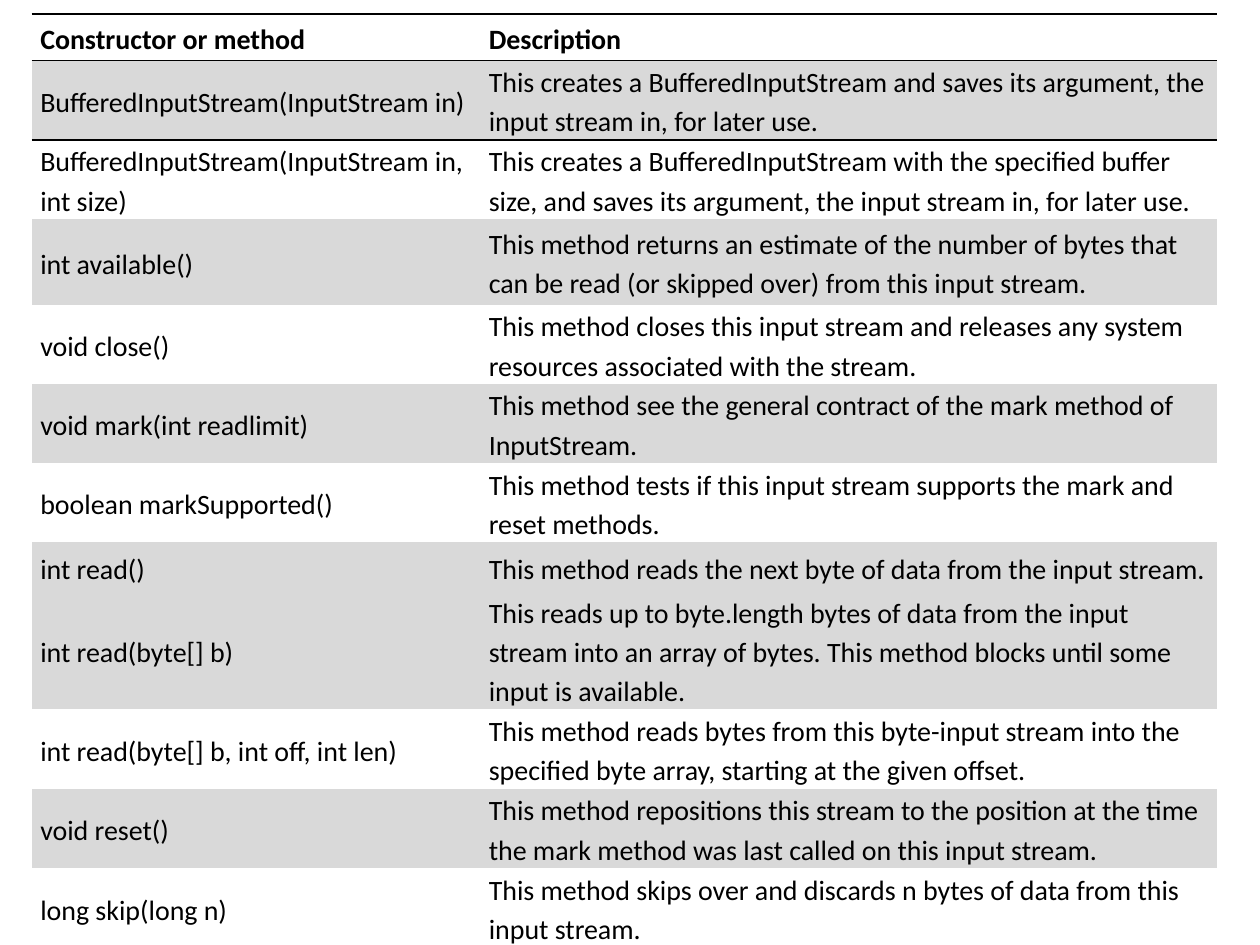
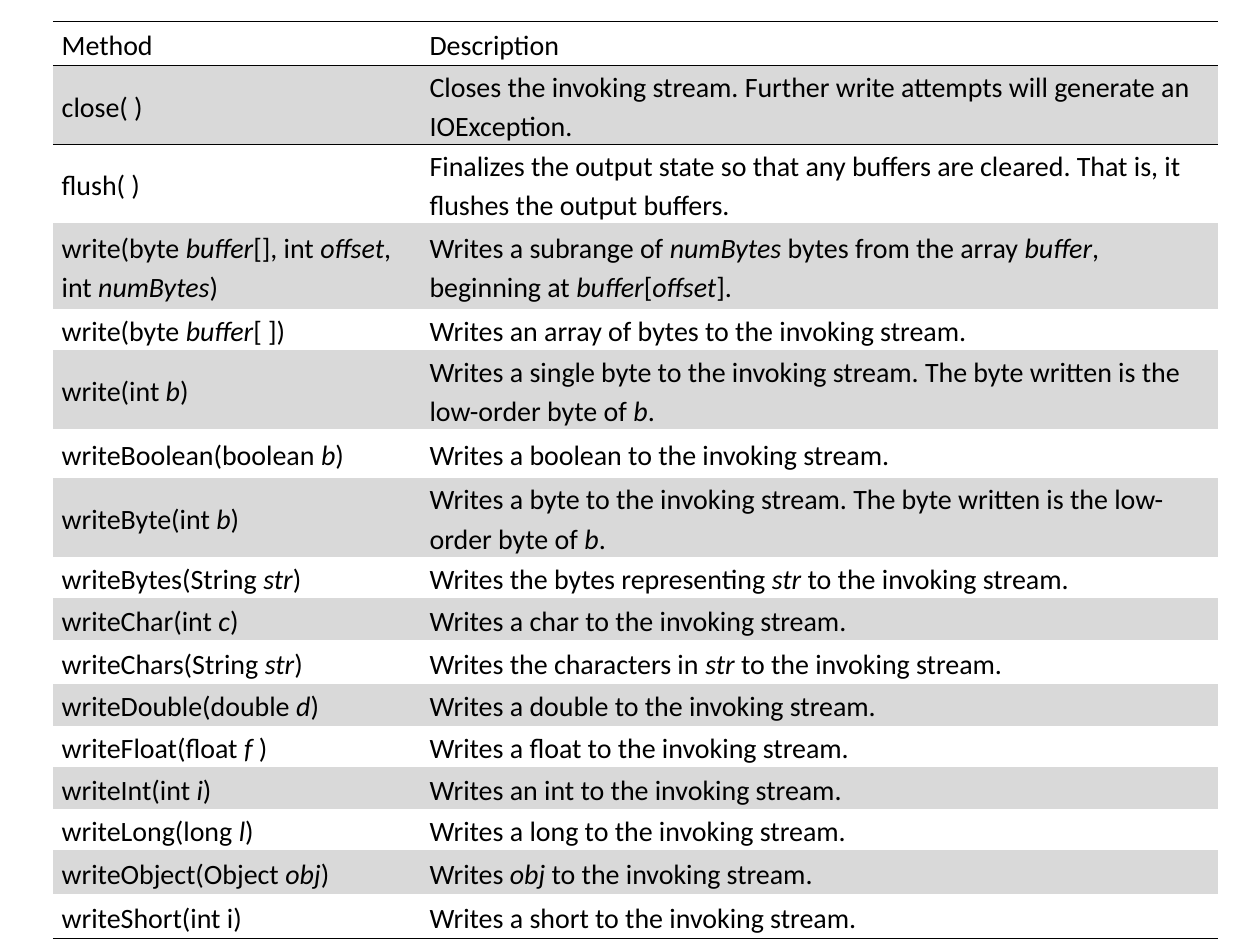
from lxml.etree import SubElement
from pptx import Presentation
from pptx.dml.color import RGBColor
from pptx.enum.text import MSO_ANCHOR
from pptx.oxml.ns import qn
from pptx.util import Inches, Pt

COLORS = {"text": "000000", "rule": "000000", "band": "D9D9D9"}
NO_STYLE_NO_GRID = "{2D5ABB26-0587-4C30-8999-92F81FD0307C}"

# Asterisks enclose italic text
INPUT_ROWS = [
    ("Constructor or method", "Description"),
    ("BufferedInputStream(InputStream in)",
     "This creates a BufferedInputStream and saves its argument, the input stream in, for later use."),
    ("BufferedInputStream(InputStream in, int size)",
     "This creates a BufferedInputStream with the specified buffer size, and saves its argument, "
     "the input stream in, for later use."),
    ("int available()",
     "This method returns an estimate of the number of bytes that can be read (or skipped over) "
     "from this input stream."),
    ("void close()",
     "This method closes this input stream and releases any system resources associated with the stream."),
    ("void mark(int readlimit)",
     "This method see the general contract of the mark method of InputStream."),
    ("boolean markSupported()",
     "This method tests if this input stream supports the mark and reset methods."),
    ("int read()", "This method reads the next byte of data from the input stream."),
    ("int read(byte[] b)",
     "This reads up to byte.length bytes of data from the input stream into an array of bytes. "
     "This method blocks until some input is available."),
    ("int read(byte[] b, int off, int len)",
     "This method reads bytes from this byte-input stream into the specified byte array, "
     "starting at the given offset."),
    ("void reset()",
     "This method repositions this stream to the position at the time the mark method was last "
     "called on this input stream."),
    ("long skip(long n)",
     "This method skips over and discards n bytes of data from this input stream."),
]
INPUT_HEIGHTS = [0.37, 0.63, 0.63, 0.68, 0.58, 0.63, 0.63, 0.39, 0.58, 0.63, 0.63, 0.63]

OUTPUT_ROWS = [
    ("Method", "Description"),
    ("close( )",
     "Closes the invoking stream. Further write attempts will generate an IOException."),
    ("flush( )",
     "Finalizes the output state so that any buffers are cleared. That is, it flushes the output buffers."),
    ("write(byte *buffer*[], int *offset*, int *numBytes*)",
     "Writes a subrange of *numBytes *bytes from the array *buffer*, beginning at *buffer*[*offset*]."),
    ("write(byte *buffer*[ ])", "Writes an array of bytes to the invoking stream."),
    ("write(int *b*)",
     "Writes a single byte to the invoking stream. The byte written is the low-order byte of *b*."),
    ("writeBoolean(boolean *b*)", "Writes a boolean to the invoking stream."),
    ("writeByte(int *b*)",
     "Writes a byte to the invoking stream. The byte written is the low-order byte of *b*."),
    ("writeBytes(String *str*)", "Writes the bytes representing *str *to the invoking stream."),
    ("writeChar(int *c*)", "Writes a char to the invoking stream."),
    ("writeChars(String *str*)", "Writes the characters in *str *to the invoking stream."),
    ("writeDouble(double *d*)", "Writes a double to the invoking stream."),
    ("writeFloat(float *f *)", "Writes a float to the invoking stream."),
    ("writeInt(int *i*)", "Writes an int to the invoking stream."),
    ("writeLong(long *l*)", "Writes a long to the invoking stream."),
    ("writeObject(Object *obj*)", "Writes *obj *to the invoking stream."),
    ("writeShort(int i)", "Writes a short to the invoking stream."),
]
OUTPUT_HEIGHTS = [0.35, 0.54, 0.56, 0.68, 0.33, 0.54, 0.39, 0.5, 0.33,
                  0.33, 0.35, 0.33, 0.33, 0.33, 0.33, 0.35, 0.35]


class MethodDeck:
    font_name = "Calibri"
    font_size = Pt(16)
    line_spacing = 1.15
    side_margin = Inches(0.07)
    rule_width = Pt(1)

    def __init__(self):
        self.presentation = Presentation()
        self.presentation.slide_width = Inches(10)
        self.presentation.slide_height = Inches(7.5)
        self.slide = None

    def new_slide(self):
        self.slide = self.presentation.slides.add_slide(self.presentation.slide_layouts[6])

    def text(self, cell, marked_text, bold):
        paragraph = cell.text_frame.paragraphs[0]
        paragraph.line_spacing = self.line_spacing
        for index, part in enumerate(marked_text.split("*")):
            if not part:
                continue
            run = paragraph.add_run()
            run.text = part
            run.font.name = self.font_name
            run.font.size = self.font_size
            run.font.bold = bold
            run.font.italic = index % 2 == 1
            run.font.color.rgb = RGBColor.from_string(COLORS["text"])

    def rule(self, cell, side):
        properties = cell._tc.get_or_add_tcPr()
        line = SubElement(properties, qn(f"a:ln{side}"), w=str(self.rule_width))
        fill = SubElement(line, qn("a:solidFill"))
        SubElement(fill, qn("a:srgbClr"), val=COLORS["rule"])

    def cell(self, cell, marked_text, bold, shaded, rule_sides):
        cell.vertical_anchor = MSO_ANCHOR.MIDDLE
        cell.margin_left = cell.margin_right = self.side_margin
        cell.margin_top = cell.margin_bottom = 0
        # Borders come before the fill in the cell properties
        for side in rule_sides:
            self.rule(cell, side)
        if shaded:
            cell.fill.solid()
            cell.fill.fore_color.rgb = RGBColor.from_string(COLORS["band"])
        else:
            cell.fill.background()
        self.text(cell, marked_text, bold)

    def table(self, left, top, widths, heights, rows, shaded_rows, bold_header=False):
        frame = self.slide.shapes.add_table(
            len(rows), len(widths), Inches(left), Inches(top),
            Inches(sum(widths)), Inches(sum(heights)))
        table = frame.table
        table.first_row = table.horz_banding = False
        table._tbl.tblPr.find(qn("a:tableStyleId")).text = NO_STYLE_NO_GRID
        for column, width in zip(table.columns, widths):
            column.width = Inches(width)
        for row, height in zip(table.rows, heights):
            row.height = Inches(height)

        # Rules frame the header and close the table
        rule_sides = {0: "TB", 1: "T", len(rows) - 1: "B"}
        for row_index, texts in enumerate(rows):
            for column_index, marked_text in enumerate(texts):
                self.cell(table.cell(row_index, column_index), marked_text,
                          bold_header and row_index == 0, row_index in shaded_rows,
                          rule_sides.get(row_index, ""))


def main():
    deck = MethodDeck()

    # Buffered input stream methods
    deck.new_slide()
    deck.table(0.25, 0.11, [3.56, 5.85], INPUT_HEIGHTS, INPUT_ROWS,
               shaded_rows={1, 3, 5, 7, 8, 10}, bold_header=True)

    # Object output methods
    deck.new_slide()
    deck.table(0.42, 0.17, [2.92, 6.33], OUTPUT_HEIGHTS, OUTPUT_ROWS,
               shaded_rows=range(1, len(OUTPUT_ROWS), 2))

    deck.presentation.save("out.pptx")


if __name__ == "__main__":
    main()
